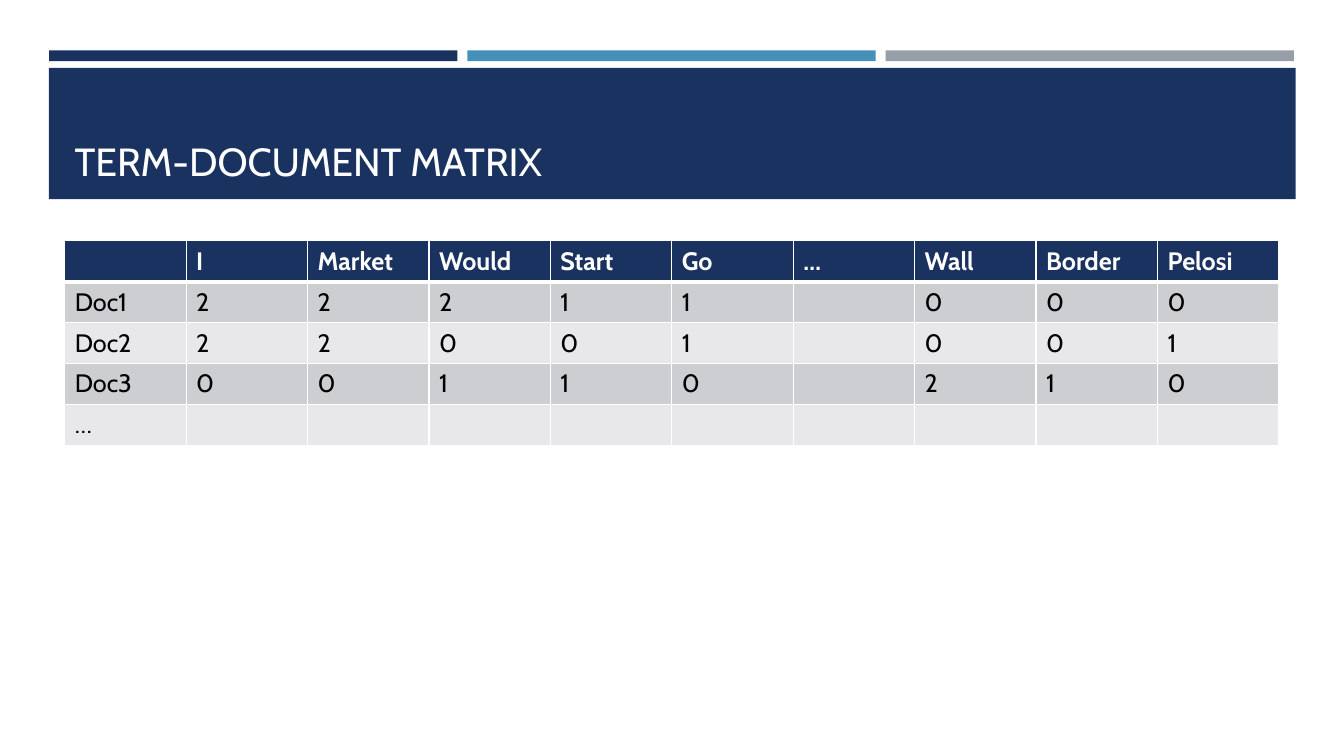
import pptx
import pptx.dml.color
import pptx.enum.shapes
import pptx.enum.text
import pptx.oxml
import pptx.oxml.ns
import pptx.util
from pptx.util import Cm

NAVY, BLUE, GRAY, WHITE, BLACK = "1A3260", "4590B8", "969FA7", "FFFFFF", "000000"
BANDS = ("CDCED2", "E8E8EA")
TERM_ROWS = [
    ["", "I", "Market", "Would", "Start", "Go", "…", "Wall", "Border", "Pelosi"],
    ["Doc1", "2", "2", "2", "1", "1", "", "0", "0", "0"],
    ["Doc2", "2", "2", "0", "0", "1", "", "0", "0", "1"],
    ["Doc3", "0", "0", "1", "1", "0", "", "2", "1", "0"],
    ["…"] + [""] * 9,
]


def color(hex_value):
    return pptx.dml.color.RGBColor.from_string(hex_value)


def set_fill(target, hex_value):
    target.fill.solid()
    target.fill.fore_color.rgb = color(hex_value)


def add_text(text_frame, text, hex_value, size, bold=False):
    run = text_frame.paragraphs[0].add_run()
    run.text = text
    formats = {"name": "Cabin", "size": pptx.util.Pt(size), "bold": bold}
    for attribute, value in formats.items():
        setattr(run.font, attribute, value)
    run.font.color.rgb = color(hex_value)


def add_bar(slide, left, top, width, height, hex_value):
    shape = slide.shapes.add_shape(
        pptx.enum.shapes.MSO_SHAPE.RECTANGLE, Cm(left), Cm(top), Cm(width), Cm(height))
    shape.shadow.inherit = False
    set_fill(shape, hex_value)
    shape.line.fill.background()


def add_title(slide, text):
    text_box = slide.shapes.add_textbox(Cm(1.63), Cm(1.96), Cm(30.63), Cm(2.82))
    formats = {"word_wrap": True, "vertical_anchor": pptx.enum.text.MSO_ANCHOR.BOTTOM}
    for attribute, value in formats.items():
        setattr(text_box.text_frame, attribute, value)
    add_text(text_box.text_frame, text, WHITE, 28)


def set_borders(cell, widths):
    properties = cell._tc.get_or_add_tcPr()
    for side, points in widths.items():
        properties.append(pptx.oxml.parse_xml(
            f'<a:ln{side} {pptx.oxml.ns.nsdecls("a")} w="{pptx.util.Pt(points)}">'
            f'<a:solidFill><a:srgbClr val="{WHITE}"/></a:solidFill></a:ln{side}>'))


def add_matrix(slide, rows):
    row_count, column_count = len(rows), len(rows[0])
    table = slide.shapes.add_table(
        row_count, column_count, Cm(1.63), Cm(6.07),
        Cm(3.06 * column_count), Cm(1.03 * row_count)).table
    for row_index, row in enumerate(rows):
        header = row_index == 0
        # The rule under the header is shared with the first document row
        widths = {"L": 1, "R": 1, "T": 3 if row_index == 1 else 1, "B": 3 if header else 1}
        for column_index, text in enumerate(row):
            cell = table.cell(row_index, column_index)
            set_borders(cell, widths)
            set_fill(cell, NAVY if header else BANDS[(row_index - 1) % 2])
            if text:
                add_text(cell.text_frame, text, WHITE if header else BLACK, 18, header)


def main():
    presentation = pptx.Presentation()
    presentation.slide_width, presentation.slide_height = Cm(33.87), Cm(19.05)
    slide = presentation.slides.add_slide(presentation.slide_layouts[6])

    # Accent bars and title banner
    for index, hex_value in enumerate((NAVY, BLUE, GRAY)):
        add_bar(slide, 1.24 + 10.54 * index, 1.27, 10.29, 0.27, hex_value)
    add_bar(slide, 1.23, 1.71, 31.42, 3.31, NAVY)
    add_title(slide, "TERM-DOCUMENT MATRIX")

    # Term counts for each document
    add_matrix(slide, TERM_ROWS)
    presentation.save("out.pptx")


if __name__ == "__main__":
    main()
